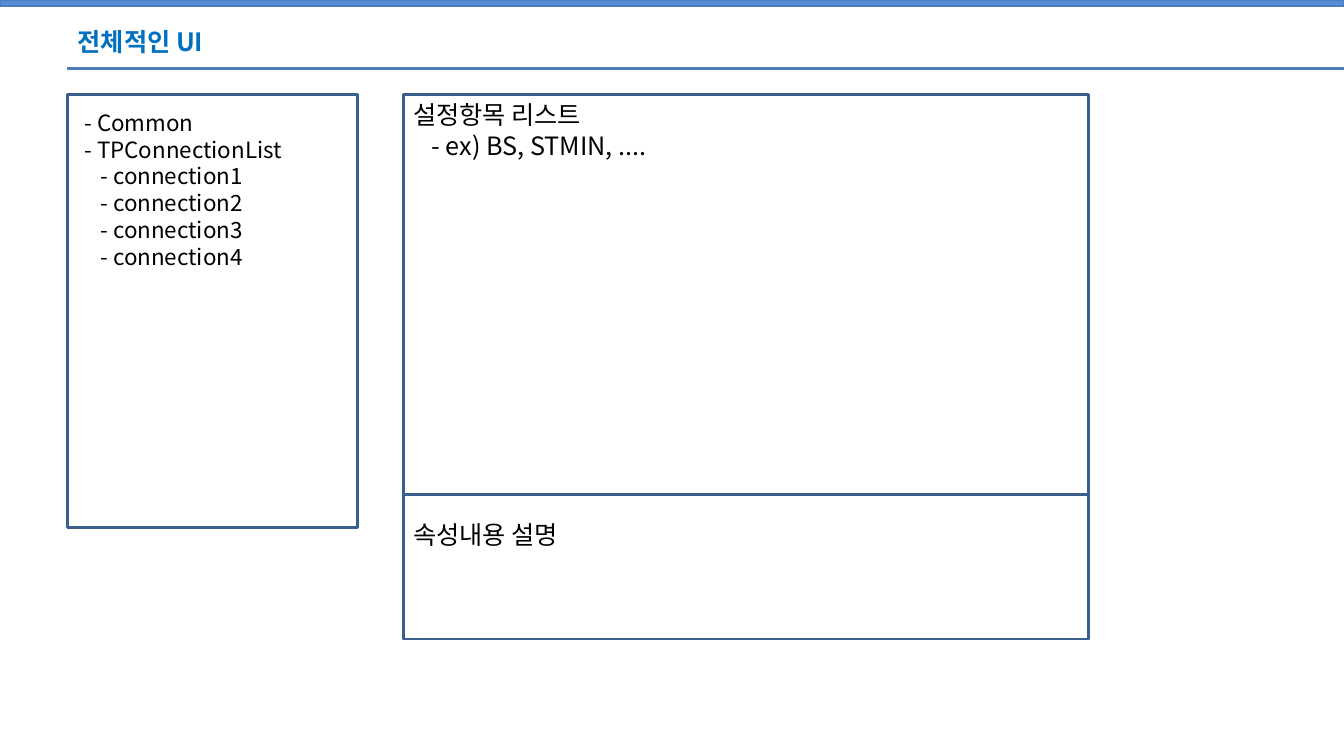
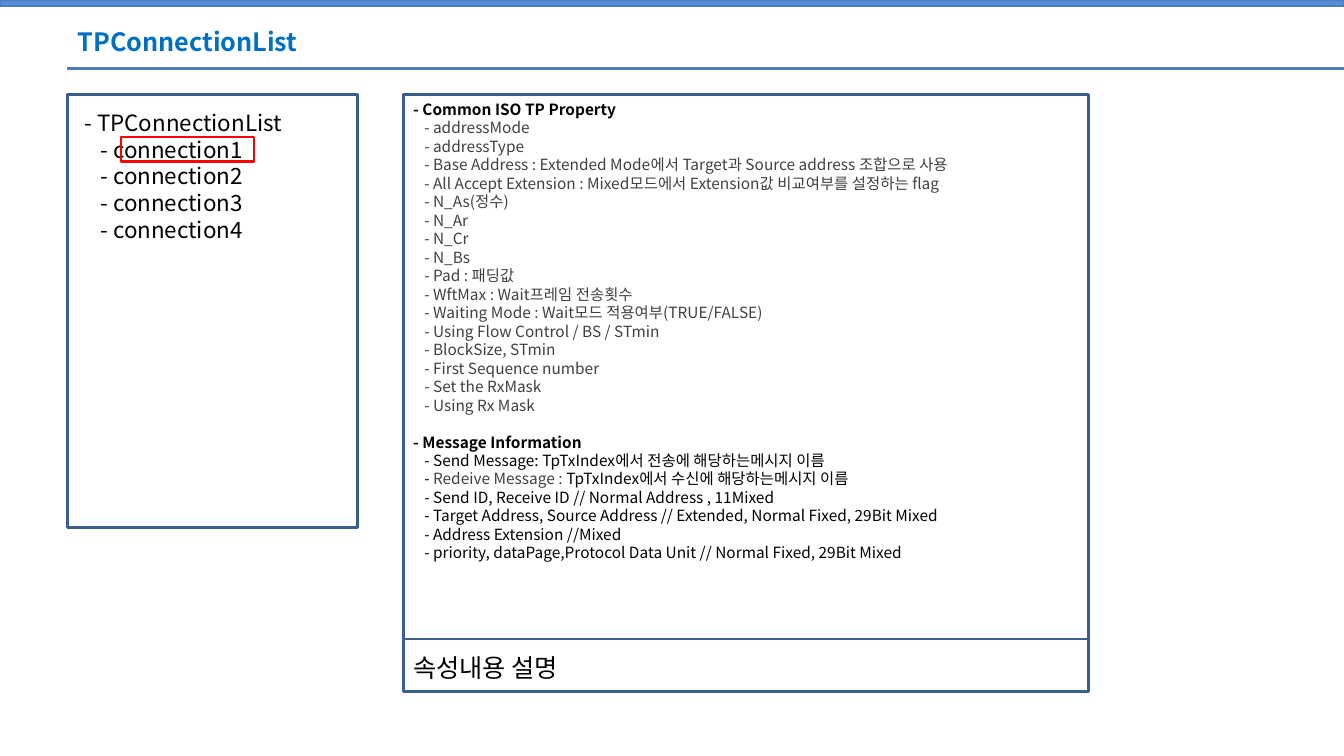
from dataclasses import dataclass

from lxml import etree
from pptx import Presentation
from pptx import util as u
from pptx.dml.color import RGBColor
from pptx.enum import shapes, text
from pptx.oxml.ns import qn


@dataclass(frozen=True)
class Theme:
    """Colours, type sizes and measures of the deck."""
    font: str = "Noto Sans CJK KR"
    title: str = "0070C0"
    band: str = "558ED5"
    rule: str = "4B7EBC"
    frame: str = "3A5F8C"
    marked: str = "FF0000"
    ink: str = "000000"
    soft: str = "404040"
    heading_size: int = 18
    tree_size: int = 16
    detail_size: int = 11
    leading: float = 1.2
    indent_per_point: float = 0.01
    rule_width: float = 1.5
    frame_width: float = 2


@dataclass(frozen=True)
class Line:
    """One paragraph, made of (text, colour) parts when its colours differ."""
    content: object
    depth: int = 0
    color: str = Theme.ink
    bold: bool = False
    lines_before: int = 0


class Deck:
    """Holds the theme, the presentation and the current slide."""

    def __init__(self, theme):
        self.theme = theme
        self.prs = Presentation()
        self.prs.slide_width, self.prs.slide_height = u.Inches(13.33), u.Inches(7.5)
        self.layout = self.prs.slide_layouts[5]
        self.slide = None

    def start_slide(self, heading):
        """Start a slide with its title; the first one also dresses the layout."""
        is_first = self.slide is None
        self.slide = self.prs.slides.add_slide(self.layout)
        if is_first:
            self.dress_layout()
        title = self.slide.shapes.title
        title.left, title.top, title.width, title.height = map(
            u.Inches, (0.67, 0.22, 12, 0.38))
        title.text_frame.auto_size = text.MSO_AUTO_SIZE.NONE
        self.set_lines(title.text_frame,
                       [Line(heading, color=self.theme.title, bold=True)],
                       self.theme.heading_size, text.MSO_ANCHOR.MIDDLE)

    def dress_layout(self):
        """Place the rule and the top band on the shared layout."""
        theme = self.theme
        rule = self.rule(0.66, 0.68, 13.33, 0.68)
        band = self.box((0, 0, 13.33, 0.06), theme.rule, theme.rule_width, theme.band)
        for number, part in enumerate((rule, band), start=101):
            part.element.xpath(".//p:cNvPr")[0].set("id", str(number))
            self.layout.shapes.element.append(part.element)

    def rule(self, x1, y1, x2, y2):
        """Draw a straight line without a shadow."""
        rule = self.slide.shapes.add_connector(
            shapes.MSO_CONNECTOR.STRAIGHT, *map(u.Inches, (x1, y1, x2, y2)))
        rule.line.color.rgb = RGBColor.from_string(self.theme.rule)
        rule.line.width = u.Pt(self.theme.rule_width)
        etree.SubElement(rule.element.spPr, qn("a:effectLst"))
        return rule

    def box(self, place, color, width, fill=None):
        """Draw a rectangle, hollow unless a fill is given."""
        box = self.slide.shapes.add_shape(
            shapes.MSO_SHAPE.RECTANGLE, *map(u.Inches, place))
        box.shadow.inherit = False
        if fill:
            box.fill.solid()
            box.fill.fore_color.rgb = RGBColor.from_string(fill)
        else:
            box.fill.background()
        box.line.color.rgb = RGBColor.from_string(color)
        box.line.width = u.Pt(width)
        return box

    def frame(self, *place, color=Theme.frame):
        """Draw a hollow panel outline."""
        return self.box(place, color, self.theme.frame_width)

    def note(self, place, lines, size):
        """Add a wrapped text box."""
        note = self.slide.shapes.add_textbox(*map(u.Inches, place))
        note.text_frame.word_wrap = True
        self.set_lines(note.text_frame, lines, size)

    def set_lines(self, body, lines, size, anchor=text.MSO_ANCHOR.TOP):
        """Fill a text frame with styled paragraphs."""
        body.vertical_anchor = anchor
        leading = u.Pt(size * self.theme.leading)
        for index, line in enumerate(lines):
            para = body.add_paragraph() if index else body.paragraphs[0]
            para.alignment = text.PP_ALIGN.LEFT
            para.line_spacing = leading
            para.space_before = u.Emu(leading * line.lines_before)
            para.font.name = self.theme.font
            para.font.size = u.Pt(size)
            para.font.bold = line.bold
            para.font.color.rgb = RGBColor.from_string(line.color)
            props = para._p.pPr
            indent = u.Inches(line.depth * size * self.theme.indent_per_point)
            props.set("marL", str(int(indent)))
            props.set("indent", "0")
            latin = props.find(qn("a:defRPr")).find(qn("a:latin"))
            latin.addnext(etree.Element(qn("a:ea"), typeface=self.theme.font))
            if isinstance(line.content, str):
                para.add_run().text = line.content
                continue
            for words, color in line.content:
                run = para.add_run()
                run.text = words
                run.font.color.rgb = RGBColor.from_string(color)

    def tree(self, roots, height):
        """Draw the left panel with its roots and the four connections."""
        self.frame(0.67, 0.94, 2.88, 4.29)
        lines = [Line(f"- {root}") for root in roots]
        lines += [Line(f"- connection{n}", 1) for n in range(1, 5)]
        self.note((0.74, 1.03, 2.23, height), lines, self.theme.tree_size)

    def settings(self, lines, size, height):
        """Draw the settings panel with its list."""
        self.frame(4, 0.94, 6.8, 5.4)
        self.note((4, 0.94, 6.8, height), lines, size)

    def description(self, top, height, text_top):
        """Draw the panel that explains a property."""
        self.frame(4, top, 6.8, height)
        self.note((4, text_top, 6.8, 0.4), [Line("속성내용 설명")],
                  self.theme.heading_size)


PROPERTIES = [
    "addressMode",
    "addressType",
    "Base Address : Extended Mode에서 Target과 Source address 조합으로 사용",
    "All Accept Extension : Mixed모드에서 Extension값 비교여부를 설정하는 flag",
    "N_As(정수)",
    "N_Ar",
    "N_Cr",
    "N_Bs",
    "Pad : 패딩값",
    "WftMax : Wait프레임 전송횟수",
    "Waiting Mode : Wait모드 적용여부(TRUE/FALSE)",
    "Using Flow Control / BS / STmin",
    "BlockSize, STmin",
    "First Sequence number",
    "Set the RxMask",
    "Using Rx Mask",
]

MESSAGES = [
    "- Send Message: TpTxIndex에서 전송에 해당하는메시지 이름",
    [("- ", Theme.ink), ("Redeive Message : ", Theme.soft),
     ("TpTxIndex에서 수신에 해당하는메시지 이름", Theme.ink)],
    "- Send ID, Receive ID // Normal Address , 11Mixed",
    "- Target Address, Source Address // Extended, Normal Fixed, 29Bit Mixed",
    "- Address Extension //Mixed",
    "- priority, dataPage,Protocol Data Unit // Normal Fixed, 29Bit Mixed",
]


def main():
    """Build both slides and save the deck."""
    theme = Theme()
    deck = Deck(theme)

    deck.start_slide("전체적인 UI")
    deck.tree(["Common", "TPConnectionList"], 1.99)
    deck.settings([Line("설정항목 리스트"), Line("- ex) BS, STMIN, ....", 1)],
                  theme.heading_size, 0.71)
    deck.description(4.91, 1.43, 5.1)

    deck.start_slide("TPConnectionList")
    deck.tree(["TPConnectionList"], 1.45)
    details = [Line("- Common ISO TP Property", bold=True)]
    details += [Line(f"- {name}", 1, theme.soft) for name in PROPERTIES]
    details += [Line("- Message Information", bold=True, lines_before=1)]
    details += [Line(message, 1) for message in MESSAGES]
    deck.settings(details, theme.detail_size, 4.91)
    deck.description(6.34, 0.52, 6.42)
    deck.frame(1.2, 1.36, 1.32, 0.24, color=theme.marked)

    deck.prs.save("out.pptx")


if __name__ == "__main__":
    main()
